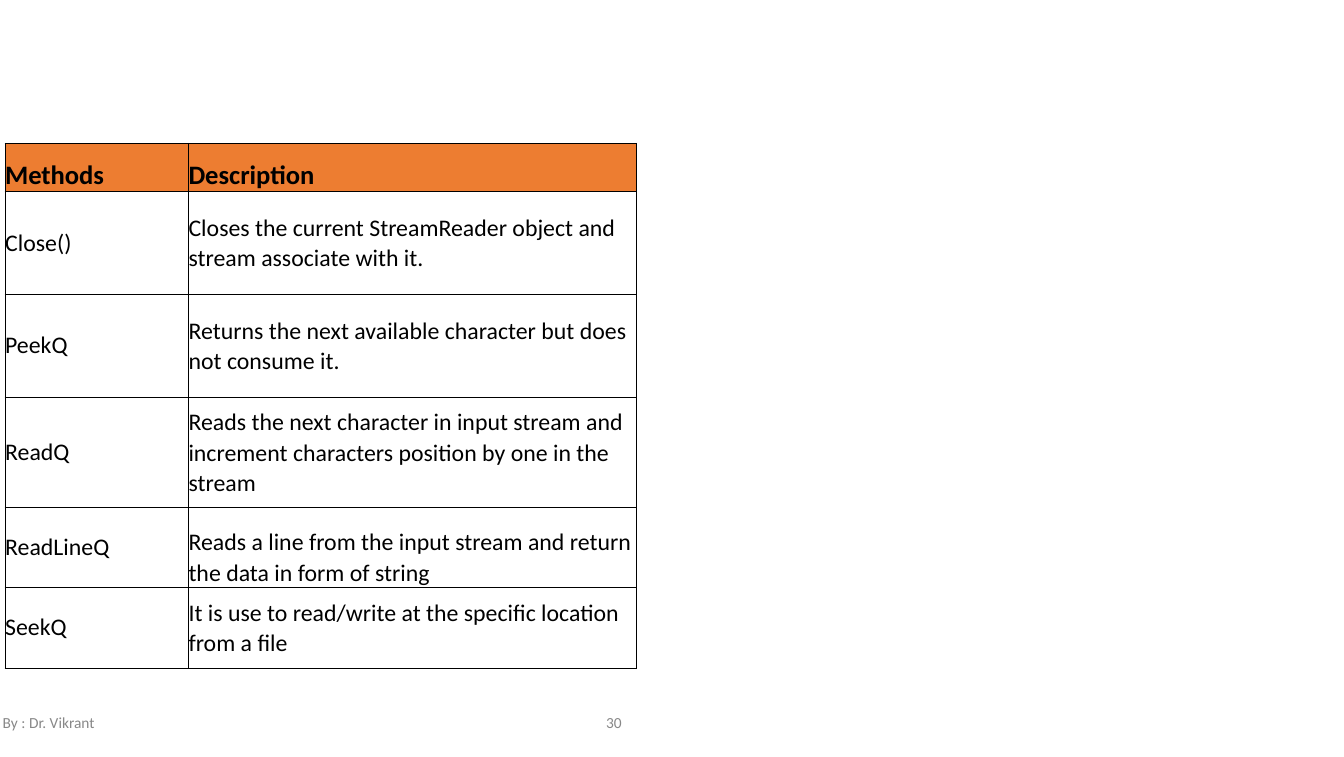
from dataclasses import dataclass

from lxml import etree
from pptx import Presentation
from pptx.dml.color import RGBColor
from pptx.enum.text import MSO_ANCHOR
from pptx.oxml.ns import qn
from pptx.util import Cm, Pt

MIDDLE = MSO_ANCHOR.MIDDLE
BOTTOM = MSO_ANCHOR.BOTTOM
SIDES = ("a:lnL", "a:lnR", "a:lnT", "a:lnB")

COLS = (4.62, 11.28)
ROWS = (
    (1.22, "Methods", "Description", None, BOTTOM),
    (2.59, "Close()", "Closes the current StreamReader object and stream associate with it.", 21.6, MIDDLE),
    (2.59, "PeekQ", "Returns the next available character but does not consume it.", 21.6, MIDDLE),
    (2.79, "ReadQ", "Reads the next character in input stream and increment characters position by one in the stream", 21.6, MIDDLE),
    (2.01, "ReadLineQ", "Reads a line from the input stream and return the data in form of string", 21.6, BOTTOM),
    (2.03, "SeekQ", "It is use to read/write at the specific location from a file", 21.4, MIDDLE),
)


@dataclass
class Theme:
    font: str = "Calibri"
    ink: str = "000000"
    head: str = "ED7D31"
    muted: str = "888888"
    head_size: int = 19
    body_size: int = 17
    foot_size: int = 11
    rule: float = 0.75


class Painter:
    def __init__(self, slide, theme):
        self.slide = slide
        self.theme = theme

    def add_text(self, para, text, size, color, bold=False):
        run = para.add_run()
        run.text = text
        font = run.font
        font.name = self.theme.font
        font.size = Pt(size)
        font.bold = bold
        font.color.rgb = RGBColor.from_string(color)

    def label(self, text, left, top, width, height):
        box = self.slide.shapes.add_textbox(Cm(left), Cm(top), Cm(width), Cm(height))
        frame = box.text_frame
        frame.word_wrap = False
        frame.margin_left = frame.margin_right = frame.margin_top = frame.margin_bottom = 0
        self.add_text(frame.paragraphs[0], text, self.theme.foot_size, self.theme.muted)

    def border(self, cell):
        props = cell._tc.get_or_add_tcPr()
        for i, side in enumerate(SIDES):
            line = etree.Element(qn(side), w=str(Pt(self.theme.rule)))
            fill = etree.SubElement(line, qn("a:solidFill"))
            etree.SubElement(fill, qn("a:srgbClr"), val=self.theme.ink)
            props.insert(i, line)

    def cell(self, cell, text, head, anchor, space):
        theme = self.theme
        cell.margin_left = cell.margin_right = cell.margin_top = cell.margin_bottom = 0
        cell.vertical_anchor = anchor
        if head:
            cell.fill.solid()
            cell.fill.fore_color.rgb = RGBColor.from_string(theme.head)
        else:
            cell.fill.background()
        para = cell.text_frame.paragraphs[0]
        if space:
            para.line_spacing = Pt(space)
        self.add_text(para, text, theme.head_size if head else theme.body_size, theme.ink, head)
        self.border(cell)

    def table(self, left, top, cols, rows):
        width = sum(cols)
        height = sum(row[0] for row in rows)
        frame = self.slide.shapes.add_table(
            len(rows), len(cols), Cm(left), Cm(top), Cm(width), Cm(height))
        grid = frame.table
        grid.first_row = grid.horz_banding = False
        for col, size in zip(grid.columns, cols):
            col.width = Cm(size)
        for i, (tall, method, detail, space, anchor) in enumerate(rows):
            head = i == 0
            grid.rows[i].height = Cm(tall)
            self.cell(grid.cell(i, 0), method, head, BOTTOM if head else MIDDLE, None)
            self.cell(grid.cell(i, 1), detail, head, anchor, space)


def main():
    deck = Presentation()
    deck.slide_width = Cm(33.86)
    deck.slide_height = Cm(19.08)
    slide = deck.slides.add_slide(deck.slide_layouts[6])
    paint = Painter(slide, Theme())
    paint.table(0.13, 3.61, COLS, ROWS)
    paint.label("By : Dr. Vikrant", 0.07, 17.98, 2.57, 0.46)
    paint.label("30", 15.27, 17.98, 0.48, 0.38)
    deck.save("out.pptx")


if __name__ == "__main__":
    main()
